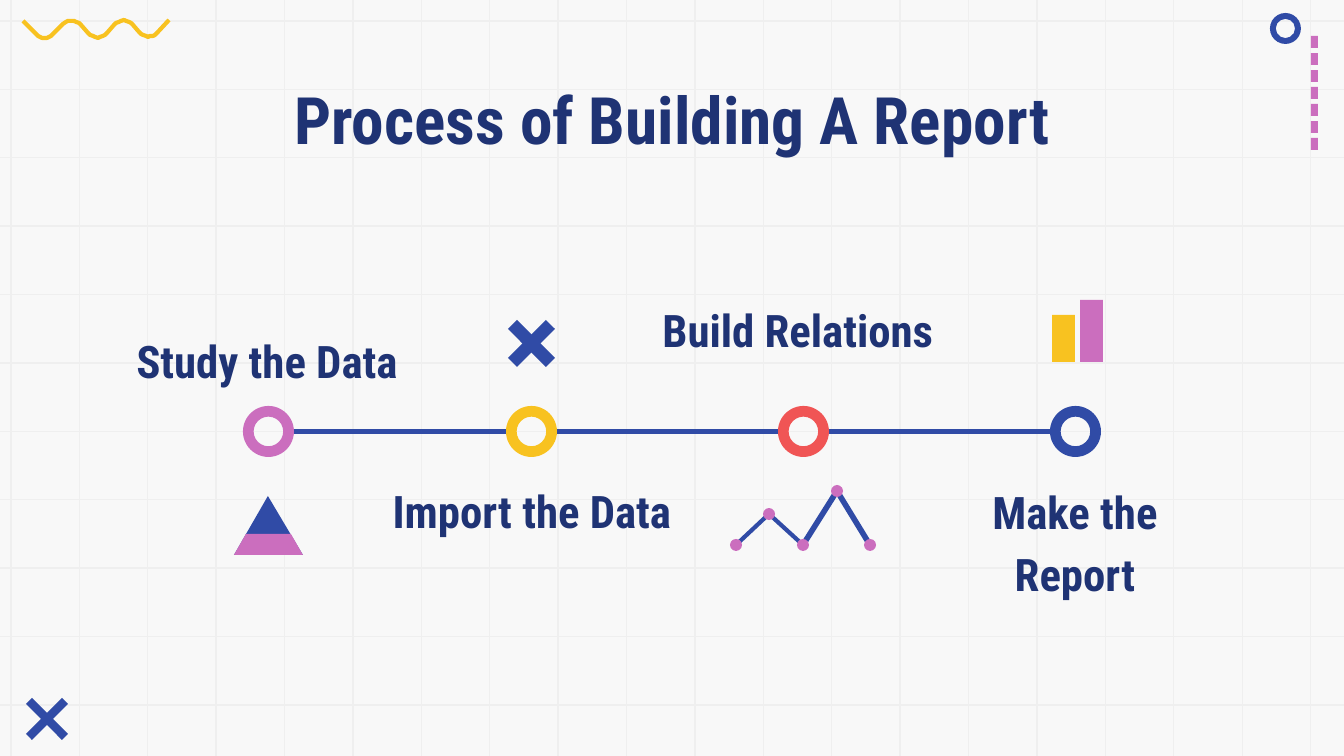
import math
from itertools import pairwise

from lxml import etree
from pptx import Presentation
from pptx import util as u
from pptx.dml.color import RGBColor
from pptx.enum import shapes, text
from pptx.oxml.ns import qn

WIDTH, HEIGHT = 1344, 756
PX = 9144000 / WIDTH
FONT = "Roboto Condensed"
COLORS = {
    "paper": "F8F8F8",
    "grid": "EFEFEF",
    "navy": "1F3374",
    "blue": "304BA6",
    "pink": "CB6EBE",
    "yellow": "F8C220",
    "red": "F05555",
}


def emu(px):
    return u.Emu(round(px * PX))


def rgb(name):
    return RGBColor.from_string(COLORS[name])


def write(tf, words, size=24, color="navy", spacing=1.15, anchor=text.MSO_ANCHOR.TOP):
    tf.word_wrap = True
    tf.vertical_anchor = anchor
    tf.margin_left = tf.margin_right = tf.margin_top = tf.margin_bottom = u.Inches(0.1)
    p = tf.paragraphs[0]
    p.alignment = text.PP_ALIGN.CENTER
    p.line_spacing = spacing
    r = p.add_run()
    r.text = words
    r.font.name = FONT
    r.font.size = u.Pt(size)
    r.font.bold = True
    r.font.color.rgb = rgb(color)


class Deck:
    def __init__(self):
        self.prs = Presentation()
        self.prs.slide_width, self.prs.slide_height = emu(WIDTH), emu(HEIGHT)
        self.s = self.prs.slides.add_slide(self.prs.slide_layouts[6])
        fill = self.s.background.fill
        fill.solid()
        fill.fore_color.rgb = rgb("paper")

    def paint(self, sp, color):
        sp.shadow.inherit = False
        sp.fill.solid()
        sp.fill.fore_color.rgb = rgb(color)
        sp.line.fill.background()

    def shape(self, kind, x, y, w, h, color):
        sp = self.s.shapes.add_shape(kind, emu(x), emu(y), emu(w), emu(h))
        self.paint(sp, color)
        return sp

    def rect(self, x, y, w, h, color):
        self.shape(shapes.MSO_SHAPE.RECTANGLE, x, y, w, h, color)

    def dot(self, x, y, size, color):
        self.shape(shapes.MSO_SHAPE.OVAL, x - size / 2, y - size / 2, size, size, color)

    def ring(self, x, y, size, color, band=0.21):
        sp = self.shape(shapes.MSO_SHAPE.DONUT, x, y, size, size, color)
        sp.adjustments[0] = band

    def outline(self, points, close):
        fb = self.s.shapes.build_freeform(*points[0], scale=PX)
        fb.add_line_segments(points[1:], close=close)
        return fb.convert_to_shape()

    def polygon(self, points, color):
        self.paint(self.outline(points, True), color)

    def cross(self, x, y, size, arm, color):
        bar = [(arm, 0), (0, arm), (size - arm, size), (size, size - arm)]
        self.polygon([(x + a, y + b) for a, b in bar], color)
        self.polygon([(x + size - a, y + b) for a, b in bar], color)

    def wave(self, start, arcs, end, color, weight):
        points = [start]
        for arc in arcs:
            for i in range(9):
                t = i / 8
                mix = [math.comb(3, k) * t**k * (1 - t) ** (3 - k) for k in range(4)]
                points.append(tuple(sum(m * c for m, c in zip(mix, axis)) for axis in zip(*arc)))
        sp = self.outline(points + [end], False)
        sp.shadow.inherit = False
        sp.fill.background()
        sp.line.color.rgb = rgb(color)
        sp.line.width = u.Pt(weight)

    def line(self, start, end, color, weight):
        sp = self.s.shapes.add_connector(
            shapes.MSO_CONNECTOR.STRAIGHT, *map(emu, start), *map(emu, end))
        sp.line.color.rgb = rgb(color)
        sp.line.width = u.Pt(weight)
        etree.SubElement(sp._element.spPr, qn("a:effectLst"))

    def label(self, words, x, y, w, h, **style):
        sp = self.s.shapes.add_textbox(emu(x), emu(y), emu(w), emu(h))
        write(sp.text_frame, words, **style)


def draw_grid(deck):
    step = 68.4
    for i in range(11):
        y = 21 + i * step
        deck.line((0, y), (WIDTH, y), "grid", 0.75)
    for i in range(20):
        x = 11 + i * step
        deck.line((x, 0), (x, HEIGHT), "grid", 0.75)


def draw_corners(deck):
    for i in range(7):
        deck.rect(1311, 36 + i * 17, 7, 12, "pink")
    deck.cross(26, 698, 42, 6, "blue")
    arcs = [
        [(36, 34), (41, 39), (48, 39), (53, 34)],
        [(61, 26), (67, 19), (75, 19), (81, 25)],
        [(88, 33), (94, 39), (102, 39), (107, 33)],
        [(114, 25), (120, 19), (128, 19), (133, 25)],
        [(139, 32), (144, 38), (152, 38), (157, 33)],
    ]
    deck.wave((23, 21), arcs, (169, 20), "yellow", 2.25)
    deck.ring(1270, 13, 31, "blue", 0.19)


def draw_timeline(deck):
    bottom = text.MSO_ANCHOR.BOTTOM
    deck.label("Study the Data", 110, 312, 314, 67)
    deck.label("Import the Data", 375, 484, 314, 67, anchor=bottom)
    deck.label("Build Relations ", 646, 281, 314, 110)
    deck.label("Make the Report", 918, 473, 314, 141, anchor=bottom)
    size, top = 51, 406
    lefts = [243, 506, 778, 1050]
    for x, color in zip(lefts, ["pink", "yellow", "red", "blue"]):
        deck.ring(x, top, size, color)
    middle = top + size / 2
    for x, following in pairwise(lefts):
        deck.line((x + size, middle), (following, middle), "blue", 3)


def draw_icons(deck):
    deck.polygon([(268, 496), (234, 555), (303, 555)], "blue")
    deck.polygon([(246, 534), (234, 555), (303, 555), (291, 534)], "pink")
    deck.cross(508, 320, 47, 9, "blue")
    deck.rect(1052, 315, 23, 47, "yellow")
    deck.rect(1080, 300, 23, 62, "pink")
    trend = [(736, 545), (769, 514), (803, 545), (837, 491), (870, 545)]
    for (start, end), weight in zip(pairwise(trend), [2.25, 2.25, 3, 3]):
        deck.line(start, end, "blue", weight)
    for x, y in trend:
        deck.dot(x, y, 12, "pink")


def main():
    deck = Deck()
    draw_grid(deck)
    draw_corners(deck)
    deck.label("Process of Building A Report", 106, 66, 1133, 85, size=35, spacing=1)
    draw_timeline(deck)
    draw_icons(deck)
    deck.prs.save("out.pptx")


if __name__ == "__main__":
    main()
